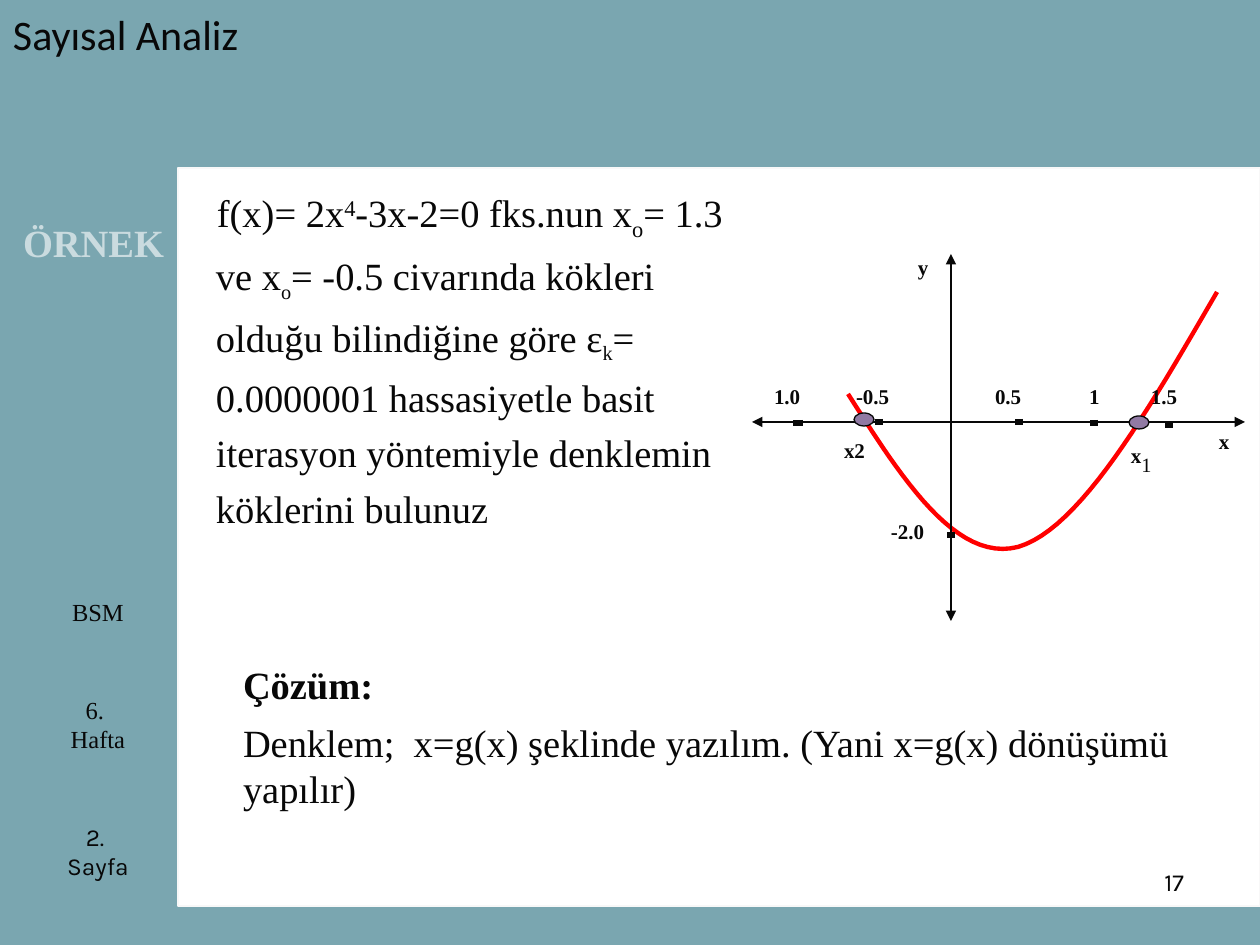
from lxml.etree import SubElement
from pptx import Presentation
from pptx.dml.color import RGBColor
from pptx.enum.shapes import MSO_CONNECTOR as Line, MSO_SHAPE as Shape
from pptx.enum.text import MSO_ANCHOR as Anchor, PP_ALIGN as Align
from pptx.oxml.ns import qn
from pptx.util import Emu, Pt

SERIF = "Times New Roman"
INK = "080808"
SUB, SUP = -25000, 30000


def px(length):
    return Emu(round(length * 914400 / 126))


def color(hex_code):
    return RGBColor.from_string(hex_code)


def add_text(slide, box, paragraphs, size=22, font=SERIF, ink=INK, bold=False,
             align=Align.LEFT, anchor=Anchor.TOP, margins=(13, 6), wrap=True,
             spacing=None, before=0, indent=0):
    frame = slide.shapes.add_textbox(*map(px, box)).text_frame
    frame.word_wrap = wrap
    frame.vertical_anchor = anchor
    frame.margin_left = frame.margin_right = px(margins[0])
    frame.margin_top = frame.margin_bottom = px(margins[1])
    for index, runs in enumerate(paragraphs):
        paragraph = frame.add_paragraph() if index else frame.paragraphs[0]
        paragraph.alignment = align
        paragraph.space_before = Pt(before if index else 0)
        if spacing:
            paragraph.line_spacing = spacing
        if indent:
            paragraph._p.get_or_add_pPr().set("indent", str(px(indent)))
        for piece in [runs] if isinstance(runs, str) else runs:
            words, changes = (piece, {}) if isinstance(piece, str) else piece
            run = paragraph.add_run()
            run.text = words
            run.font.name = font
            run.font.size = Pt(changes.get("size", size))
            run.font.bold = changes.get("bold", bold)
            run.font.color.rgb = color(ink)
            if "baseline" in changes:
                run._r.get_or_add_rPr().set("baseline", str(changes["baseline"]))


def add_block(slide, kind, box, fill, line):
    block = slide.shapes.add_shape(kind, *map(px, box))
    block.shadow.inherit = False
    block.fill.solid()
    block.fill.fore_color.rgb = color(fill)
    block.line.color.rgb = color(line)
    block.line.width = Pt(0.75)


def add_line(slide, start, end, width, arrows=False):
    line = slide.shapes.add_connector(Line.STRAIGHT, *map(px, (*start, *end)))
    line.line.color.rgb = color(INK)
    line.line.width = Pt(width)
    SubElement(line._element.spPr, qn("a:effectLst"))
    if arrows:
        for end_tag in ("a:headEnd", "a:tailEnd"):
            SubElement(line.line._get_or_add_ln(), qn(end_tag), type="triangle")


def bezier(p0, p1, p2, p3, steps=24):
    for step in range(1, steps + 1):
        t = step / steps
        u = 1 - t
        yield tuple(u**3 * a + 3 * u * u * t * b + 3 * u * t * t * c + t**3 * d
                    for a, b, c, d in zip(p0, p1, p2, p3))


def header(slide, box):
    add_text(slide, box, ["Sayısal Analiz"], size=24, font="Calibri",
             anchor=Anchor.MIDDLE)


def sidebar(slide, box):
    left, top, width, _ = box
    add_text(slide, (left + 10, top + 45, width - 10, 59), ["ÖRNEK"],
             ink="CADBDF", bold=True, wrap=False)
    for words, y, height, font in (("BSM", 423, 59, SERIF),
                                   ("6.  Hafta", 521, 88, SERIF),
                                   ("2.  Sayfa", 648, 66, "Karla")):
        add_text(slide, (left + 49, top + y, 98, height), [words], size=14,
                 font=font, align=Align.CENTER)


def problem(slide, box):
    small = {"size": 20, "baseline": SUB}
    add_text(slide, box, [[
        "f(x)= 2x", ("4", {"baseline": SUP}), "-3x-2=0 fks.nun x",
        ("o", {"baseline": SUB}), "= 1.3 ve x", ("o", small),
        "= -0.5 civarında kökleri olduğu bilindiğine göre ε", ("k", small),
        "= 0.0000001 hassasiyetle basit iterasyon yöntemiyle denklemin "
        "köklerini bulunuz"]], spacing=1.2, indent=1)


def graph(slide, box):
    left, top, width, height = box
    axis_x, axis_y = left + 199, top + 168

    controls = [(left + x, top + y) for x, y in (
        (96, 140), (150, 225), (204, 309), (266, 293),
        (328, 275), (396, 157), (465, 38))]
    points = [*bezier(*controls[:4]), *bezier(*controls[3:])]
    builder = slide.shapes.build_freeform(*map(px, controls[0]))
    builder.add_line_segments([(px(x), px(y)) for x, y in points], close=False)
    curve = builder.convert_to_shape()
    curve.shadow.inherit = False
    curve.fill.background()
    curve.line.color.rgb = color("FF0000")
    curve.line.width = Pt(2.5)

    add_line(slide, (left, axis_y), (left + width, axis_y), 0.75, arrows=True)
    add_line(slide, (axis_x, top), (axis_x, top + height), 0.75, arrows=True)

    for x, y, weight in ((46, 166, 5.25), (127, 165, 4.25), (267, 165, 4.25),
                         (342, 166, 4.25), (417, 168, 4.25), (199, 278, 4.25)):
        add_line(slide, (left + x, top + y), (left + x, top + y + 6), weight)

    for x, y in ((377, 162), (102, 159)):
        add_block(slide, Shape.OVAL, (left + x, top + y, 20, 13), "917AA4", INK)

    root = ["x", ("1", {"size": 20, "bold": False, "baseline": SUB})]
    for words, x, y, label_width in (
            ("y", 164, 1, 28), ("x", 465, 175, 28), ("1.0", 20, 130, 68),
            ("-0.5", 102, 130, 68), ("0.5", 241, 130, 68), ("1", 335, 130, 42),
            ("1.5", 397, 130, 62), ("-2.0", 137, 265, 68),
            ("x2", 90, 184, 42), (root, 377, 175, 42)):
        add_text(slide, (left + x, top + y, label_width, 25), [words], size=12,
                 bold=True, margins=(2, 0))


def solution(slide, box):
    add_text(slide, box, [
        [("Çözüm:", {"bold": True})],
        "Denklem;  x=g(x) şeklinde yazılım. (Yani x=g(x) dönüşümü yapılır)",
    ], before=6.6)


def page_number(slide, box):
    add_text(slide, box, ["17"], size=14, font="Karla", align=Align.RIGHT)


def main():
    deck = Presentation()
    deck.slide_width, deck.slide_height = px(1260), px(945)
    slide = deck.slides.add_slide(deck.slide_layouts[6])
    slide.background.fill.solid()
    slide.background.fill.fore_color.rgb = color("7AA6B0")

    add_block(slide, Shape.RECTANGLE, (178, 168, 1082, 738), "FFFFFF", "F8F8F8")
    header(slide, (0, 0, 1017, 68))
    sidebar(slide, (0, 168, 178, 738))
    problem(slide, (203, 173, 558, 491))
    graph(slide, (752, 254, 493, 367))
    solution(slide, (230, 655, 1030, 166))
    page_number(slide, (903, 861, 294, 66))
    deck.save("out.pptx")


if __name__ == "__main__":
    main()
